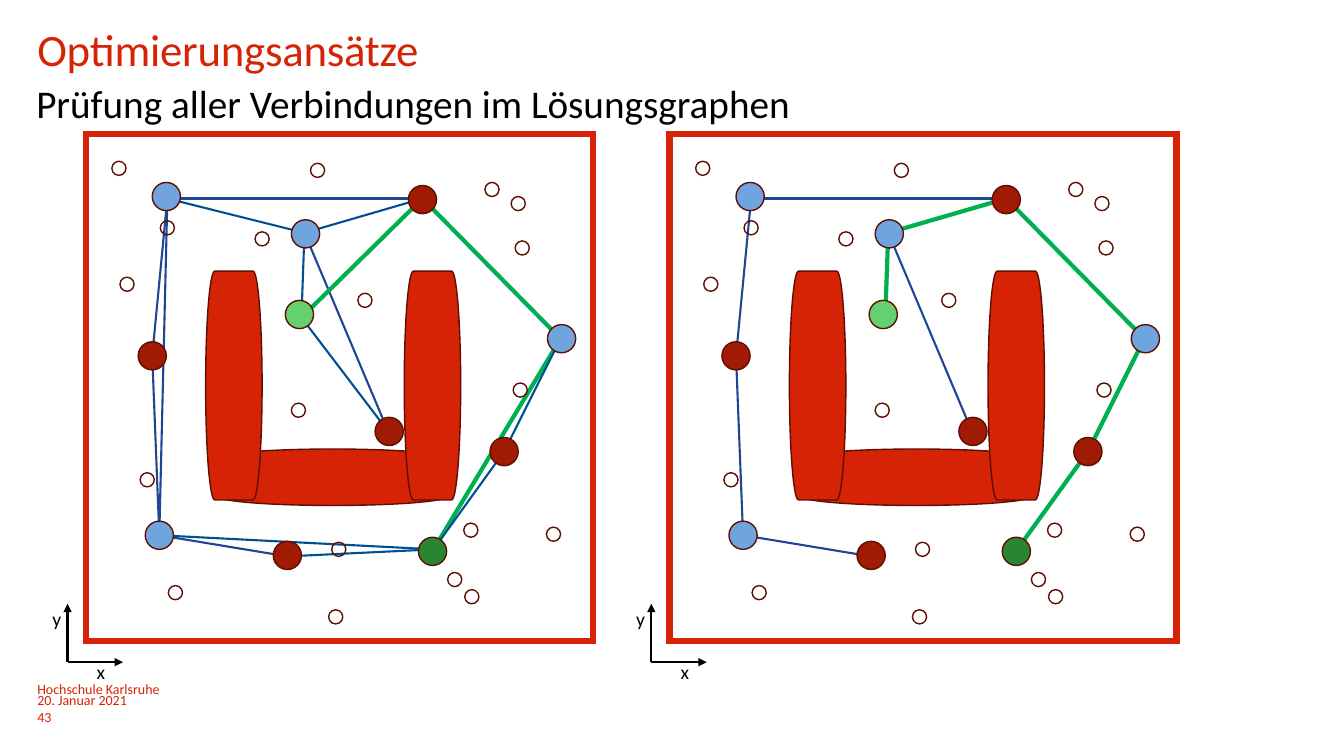
from pptx import Presentation
from pptx.dml.color import RGBColor
from pptx.enum.shapes import MSO_CONNECTOR, MSO_SHAPE
from pptx.enum.text import MSO_ANCHOR, PP_ALIGN
from pptx.oxml.ns import qn
from pptx.util import Pt
from lxml import etree

STRAIGHT = MSO_CONNECTOR.STRAIGHT
RECTANGLE = MSO_SHAPE.RECTANGLE
TERMINATOR = MSO_SHAPE.FLOWCHART_TERMINATOR
OVAL = MSO_SHAPE.OVAL
TOP = MSO_ANCHOR.TOP
LEFT = PP_ALIGN.LEFT
PX = 9144

THEME = {
    "font": "Calibri",
    "title": 32, "subtitle": 28, "axis": 14, "footer": 10,
    "red": "D72305", "obstacle": "D62305", "outline": "5E0F02", "black": "000000",
    "light_blue": "6FA4DE", "dark_red": "A01A04",
    "start": "64D16F", "goal": "288632",
    "path_green": "00B050", "navy": "1E4696", "teal": "004F92",
}

presentation = Presentation()
presentation.slide_width = 1333 * PX
presentation.slide_height = 750 * PX
slide = presentation.slides.add_slide(presentation.slide_layouts[5])


def write_text(shape, text, size, color):
    frame = shape.text_frame
    frame.word_wrap = True
    frame.vertical_anchor = TOP
    frame.margin_left = frame.margin_top = frame.margin_right = frame.margin_bottom = 0
    paragraph = frame.paragraphs[0]
    paragraph.alignment = LEFT
    run = paragraph.add_run()
    run.text = text
    run.font.name = THEME["font"]
    run.font.size = Pt(THEME[size])
    run.font.color.rgb = RGBColor.from_string(THEME[color])
    return paragraph


def add_line(start, end, color, width):
    connector = slide.shapes.add_connector(STRAIGHT, *(value * PX for value in (*start, *end)))
    connector.line.color.rgb = RGBColor.from_string(THEME[color])
    connector.line.width = Pt(width)
    etree.SubElement(connector._element.spPr, qn("a:effectLst"))
    return connector


title = slide.shapes.title
title.left, title.top, title.width, title.height = (value * PX for value in (37, 33, 1193, 97))
paragraph = write_text(title, "Optimierungsansätze", "title", "red")
paragraph.line_spacing = Pt(30)
paragraph.runs[0].font._element.set("spc", "-20")

texts = [
    (36, 79, 842, 121, "Prüfung aller Verbindungen im Lösungsgraphen", "subtitle", "black"),
    (37, 675, 1193, 15, "Hochschule Karlsruhe", "footer", "obstacle"),
    (37, 686, 300, 15, "20. Januar 2021", "footer", "obstacle"),
    (37, 703, 300, 11, "43", "footer", "obstacle"),
]
for offset in (0, 579):
    texts += [
        (96 + offset, 655, 63, 28, "x", "axis", "black"),
        (52 + offset, 602, 22, 28, "y", "axis", "black"),
    ]
for left, top, width, height, text, size, color in texts:
    box = slide.shapes.add_textbox(left * PX, top * PX, width * PX, height * PX)
    write_text(box, text, size, color)

NODE_SIZE = 28
SAMPLE_SIZE = 14
nodes = {
    "top left": (151, 181, "light_blue"),
    "left": (137, 339, "dark_red"),
    "right": (543, 322, "light_blue"),
    "top right": (405, 184, "dark_red"),
    "lower right": (486, 434, "dark_red"),
    "bottom": (271, 537, "dark_red"),
    "bottom left": (144, 517, "light_blue"),
    "inner": (372, 414, "dark_red"),
    "top": (289, 218, "light_blue"),
    "start": (283, 298, "start"),
    "goal": (415, 533, "goal"),
}
anchors = {
    "top left": (166, 197), "left": (151, 353), "right": (556, 336),
    "top right": (419, 197), "lower right": (500, 448), "bottom": (285, 552),
    "bottom left": (158, 531), "inner": (385, 428), "top": (302, 231),
    "start": (299, 315), "goal": (430, 545),
}
samples = [
    (159, 219), (509, 380), (289, 400), (355, 291), (511, 239), (139, 469),
    (444, 568), (542, 523), (461, 585), (326, 605), (167, 581), (329, 538),
    (253, 230), (308, 162), (481, 181), (460, 519), (119, 275), (111, 160),
    (507, 195),
]
obstacles = [(302, 360, 90), (204, 269, 0), (401, 269, 0)]

common_edges = [
    ("top left", "top right", "navy"), ("top left", "left", "navy"),
    ("left", "bottom left", "navy"), ("bottom left", "bottom", "navy"),
    ("inner", "top", "navy"), ("top right", "right", "path_green"),
]
all_edges = common_edges + [
    ("start", "inner", "teal"), ("top left", "bottom left", "navy"),
    ("goal", "right", "path_green"), ("bottom left", "goal", "teal"),
    ("start", "top right", "path_green"), ("top", "top left", "teal"),
    ("bottom", "goal", "teal"), ("start", "top", "teal"),
    ("lower right", "goal", "teal"), ("top right", "top", "teal"),
    ("right", "lower right", "teal"),
]
checked_edges = common_edges + [
    ("start", "top", "path_green"), ("top right", "top", "path_green"),
    ("right", "lower right", "path_green"), ("lower right", "goal", "path_green"),
]

for offset, edges in ((0, all_edges), (579, checked_edges)):
    for source, target, color in edges:
        (x1, y1), (x2, y2) = anchors[source], anchors[target]
        add_line((x1 + offset, y1), (x2 + offset, y2), color, 3 if color == "path_green" else 1.5)

    for end in ((67, 599), (122, 657)):
        axis = add_line((67 + offset, 657), (end[0] + offset, end[1]), "black", 1.5)
        etree.SubElement(axis.line._get_or_add_ln(), qn("a:tailEnd"), type="triangle")

    figures = [(RECTANGLE, 85, 133, 503, 503, 0, None, "red", 4.5)]
    for left, top, rotation in obstacles:
        figures.append((TERMINATOR, left, top, 56, 227, rotation, "obstacle", "outline", 1))
    for left, top in samples:
        figures.append((OVAL, left, top, SAMPLE_SIZE, SAMPLE_SIZE, 0, None, "outline", 1))
    for left, top, fill in nodes.values():
        figures.append((OVAL, left, top, NODE_SIZE, NODE_SIZE, 0, fill, "outline", 1))

    for kind, left, top, width, height, rotation, fill, outline, line_width in figures:
        shape = slide.shapes.add_shape(
            kind, (left + offset) * PX, top * PX, width * PX, height * PX)
        shape.shadow.inherit = False
        shape.rotation = rotation
        if fill:
            shape.fill.solid()
            shape.fill.fore_color.rgb = RGBColor.from_string(THEME[fill])
        else:
            shape.fill.background()
        shape.line.color.rgb = RGBColor.from_string(THEME[outline])
        shape.line.width = Pt(line_width)
        etree.SubElement(shape.line._get_or_add_ln(), qn("a:miter"), lim="800000")

presentation.save("out.pptx")
